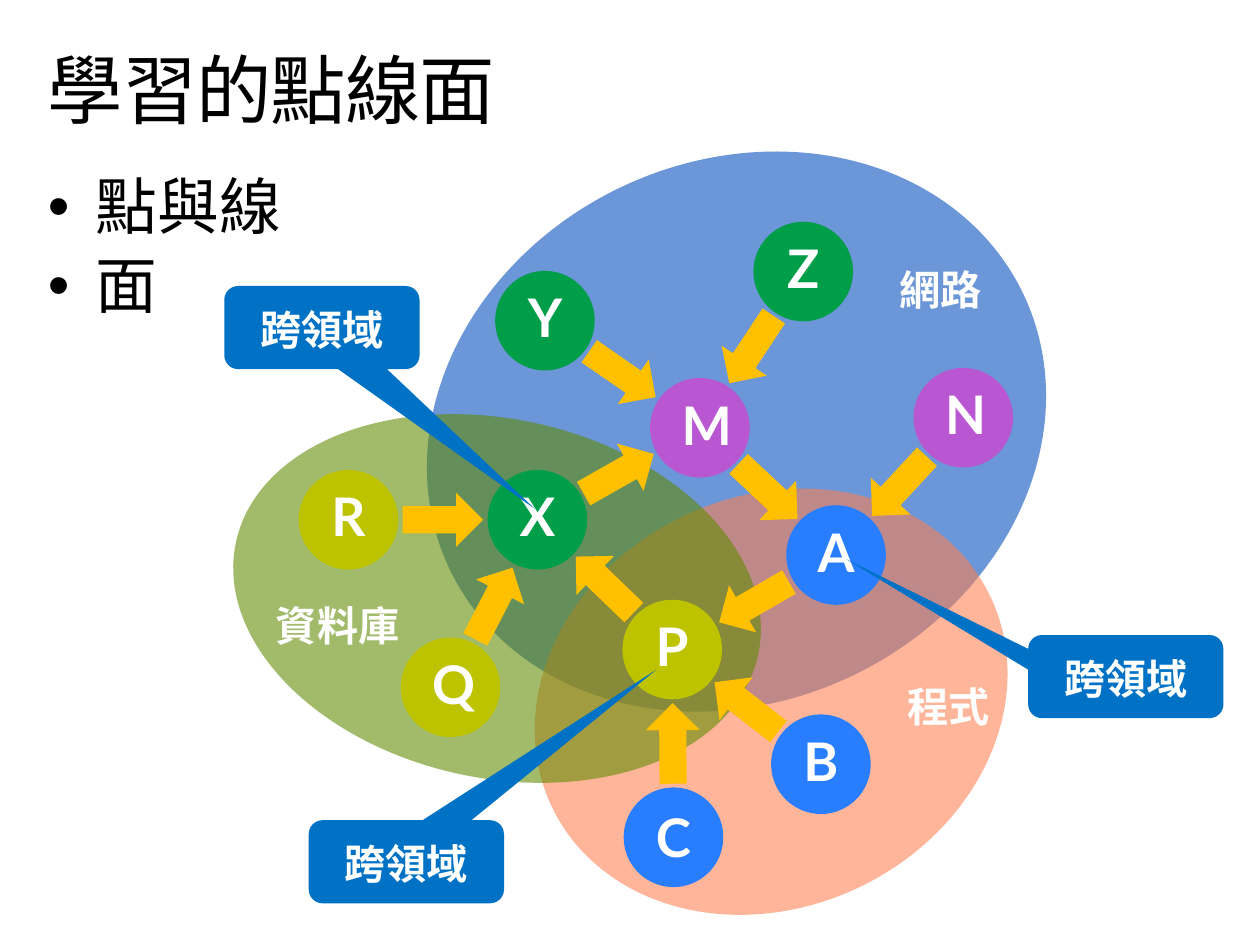
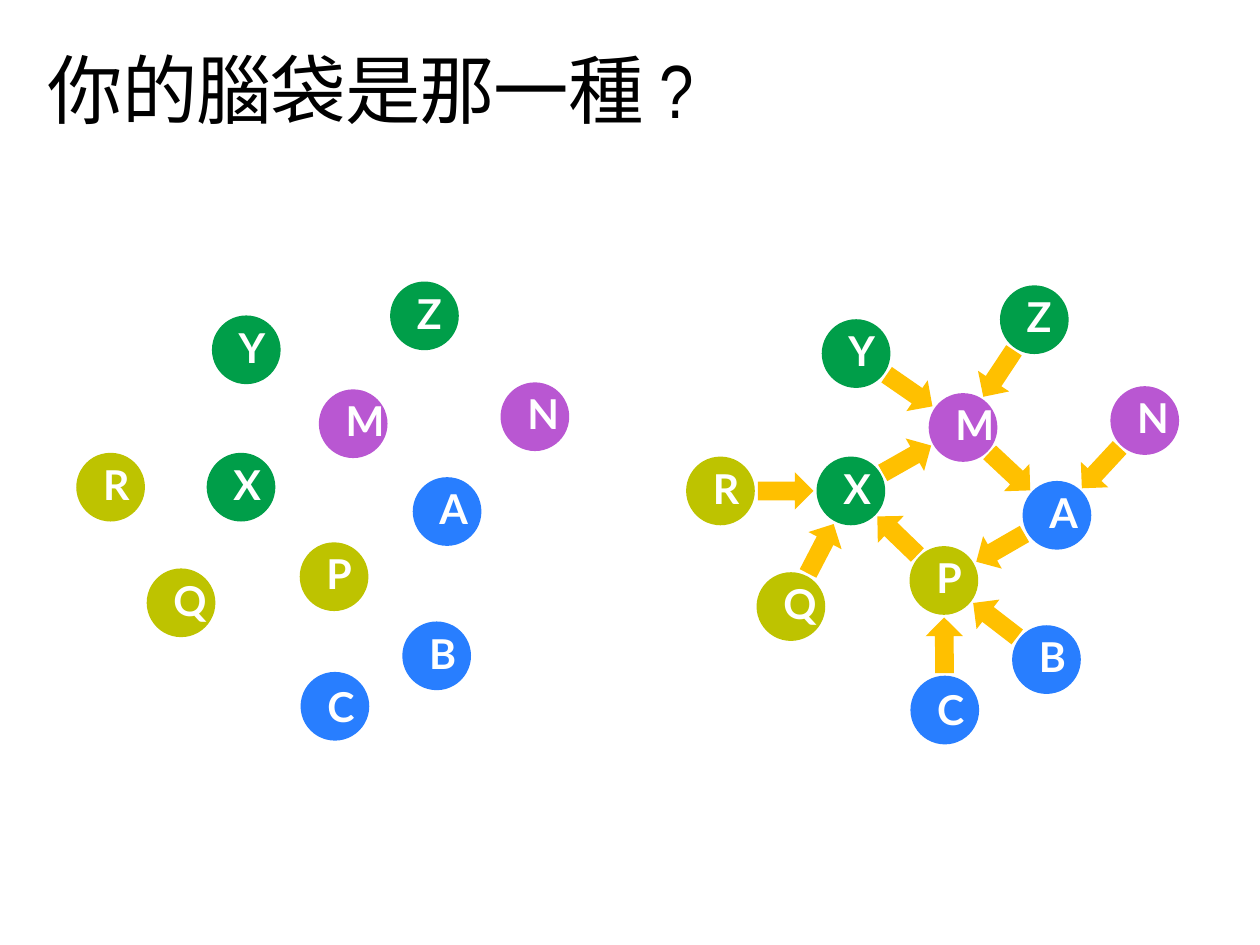
from math import atan2, degrees

from lxml import etree
from pptx import Presentation
from pptx.dml.color import RGBColor
from pptx.enum.shapes import MSO_SHAPE
from pptx.enum.text import MSO_ANCHOR, MSO_AUTO_SIZE, PP_ALIGN
from pptx.oxml.ns import qn
from pptx.util import Inches, Pt

OVAL = MSO_SHAPE.OVAL
ARROW = MSO_SHAPE.LEFT_ARROW
CALLOUT = MSO_SHAPE.ROUNDED_RECTANGULAR_CALLOUT
TOP, MIDDLE = MSO_ANCHOR.TOP, MSO_ANCHOR.MIDDLE
LEFT, CENTER = PP_ALIGN.LEFT, PP_ALIGN.CENTER

BLACK = RGBColor(0x00, 0x00, 0x00)
WHITE = RGBColor(0xFF, 0xFF, 0xFF)
NAVY = RGBColor(0x00, 0x4B, 0xBB)
CORAL = RGBColor(0xFF, 0x80, 0x51)
OLIVE = RGBColor(0x5F, 0x8B, 0x00)
LIME = RGBColor(0xBE, 0xC3, 0x00)
BLUE = RGBColor(0x28, 0x7E, 0xFF)
GREEN = RGBColor(0x00, 0x9E, 0x49)
PURPLE = RGBColor(0xB9, 0x57, 0xD2)
GOLD = RGBColor(0xFF, 0xC0, 0x00)
AZURE = RGBColor(0x00, 0x72, 0xC6)

HEAD_FONT, NODE_FONT = "Arial Narrow", "Lato"
NODE = 0.79
INSET = 0.12
ARROW_W, ARROW_H = 0.64, 0.43

AREAS = [
    ("網路", NAVY, (3.7, 0.9, 4.29, 5.05), 64.1, (6.94, 1.98, 1.06)),
    ("程式", CORAL, (4.49, 3.64, 3.26, 3.86), 64.1, (7, 5.29, 1.06)),
    ("資料庫", OLIVE, (2.52, 2.63, 2.85, 4.24), 102.2, (1.99, 4.65, 1.39)),
]
NODES = {
    "P": (4.94, 4.76, LIME),
    "A": (6.24, 4.01, BLUE),
    "B": (6.12, 5.67, BLUE),
    "C": (4.95, 6.25, BLUE),
    "Y": (3.93, 2.15, GREEN),
    "N": (7.25, 2.92, PURPLE),
    "M": (5.16, 3, PURPLE),
    "Z": (5.98, 1.76, GREEN),
    "X": (3.87, 3.73, GREEN),
    "Q": (3.18, 5.06, LIME),
    "R": (2.37, 3.73, LIME),
}
LINKS = ["AP", "BP", "CP", "MA", "NA", "YM", "ZM", "XM", "PX", "QX", "RX"]
CALLOUTS = [
    (1.78, 2.27, 1.09, 2.18),
    (2.45, 6.51, 1.28, -2.31),
    (8.16, 5.04, -1.43, -1.41),
]


def write(shape, text, size, font=NODE_FONT, color=WHITE, bold=True,
          align=LEFT, anchor=TOP, inset=(0.2, 0.16), wrap=True,
          track=None, bullet=None):
    frame = shape.text_frame
    frame.text = text
    frame.word_wrap = wrap
    frame.auto_size = MSO_AUTO_SIZE.NONE
    frame.vertical_anchor = anchor
    frame.margin_left = frame.margin_right = Inches(inset[0])
    frame.margin_top = frame.margin_bottom = Inches(inset[1])
    for para in frame.paragraphs:
        para.alignment = align
        para.line_spacing = 0.9
        if bullet:
            props = para._p.get_or_add_pPr()
            props.set("marL", str(Inches(0.38)))
            props.set("indent", str(-Inches(0.38)))
            etree.SubElement(props, qn("a:buChar")).set("char", bullet)
        for run in para.runs:
            run.font.name = font
            run.font.size = Pt(size)
            run.font.bold = bold
            run.font.color.rgb = color
            if track:
                run._r.get_or_add_rPr().set("spc", str(track))
    frame.paragraphs[0].space_before = Pt(0)


def draw(slide, kind, box, color, turn=0, alpha=None):
    shape = slide.shapes.add_shape(kind, *map(Inches, box))
    shape.shadow.inherit = False
    shape.fill.solid()
    shape.fill.fore_color.rgb = color
    shape.line.fill.background()
    shape.rotation = turn
    if alpha:
        tint = shape._element.spPr.find(".//" + qn("a:srgbClr"))
        etree.SubElement(tint, qn("a:alpha")).set("val", str(alpha * 1000))
    return shape


deck = Presentation()
deck.slide_width, deck.slide_height = Inches(10), Inches(7.5)

slides = []
for name, layout in [("學習的點線面", 1), ("你的腦袋是那一種 ?", 5)]:
    slide = deck.slides.add_slide(deck.slide_layouts[layout])
    title = slide.shapes.title
    title.left, title.top = Inches(0.22), Inches(0.32)
    title.width, title.height = Inches(9.56), Inches(0.98)
    write(title, name, 43.1, font=HEAD_FONT, color=BLACK, bold=False,
          inset=(0.16, 0.1), track=-60)
    slides.append(slide)
fields, brains = slides

for name, color, box, turn, (x, y, width) in AREAS:
    draw(fields, OVAL, box, color, turn, alpha=58)
    label = fields.shapes.add_textbox(*map(Inches, (x, y, width, 0.67)))
    write(label, name, 23.5, wrap=False)

body = fields.placeholders[1]
body.left, body.top = Inches(0.22), Inches(1.3)
body.width, body.height = Inches(9.56), Inches(1.39)
write(body, "點與線\n面", 35.3, font=HEAD_FONT, color=BLACK, bold=False,
      inset=(0.16, 0.1), bullet="•")

for slide, left, top, scale, size, links in [
    (fields, 0, 0, 1, 30.4, LINKS),
    (brains, -1.03, 1.02, 0.69, 23.5, []),
    (brains, 3.81, 1.05, 0.69, 23.5, LINKS),
]:
    side = NODE * scale
    gap = INSET * scale
    for name, (x, y, color) in NODES.items():
        x, y = left + x * scale, top + y * scale
        draw(slide, OVAL, (x, y, side, side), color)
        drop = 0.02 if name == "C" else 0
        inner = side - 2 * gap
        box = (x + gap, y + gap + drop, inner, inner)
        label = slide.shapes.add_textbox(*map(Inches, box))
        write(label, name, size, align=CENTER, anchor=MIDDLE,
              inset=(0.13, 0.13))
    for start, end in links:
        x1, y1, _ = NODES[start]
        x2, y2, _ = NODES[end]
        width, height = ARROW_W * scale, ARROW_H * scale
        x = left + (x1 + x2 + NODE) / 2 * scale - width / 2
        y = top + (y1 + y2 + NODE) / 2 * scale - height / 2
        turn = degrees(atan2(y1 - y2, x1 - x2)) % 360
        draw(slide, ARROW, (x, y, width, height), GOLD, turn)

for x, y, tip_x, tip_y in CALLOUTS:
    note = draw(fields, CALLOUT, (x, y, 1.55, 0.66), AZURE)
    note.adjustments[0], note.adjustments[1] = tip_x, tip_y
    write(note, "跨領域", 23.5, align=CENTER)

deck.save("out.pptx")
